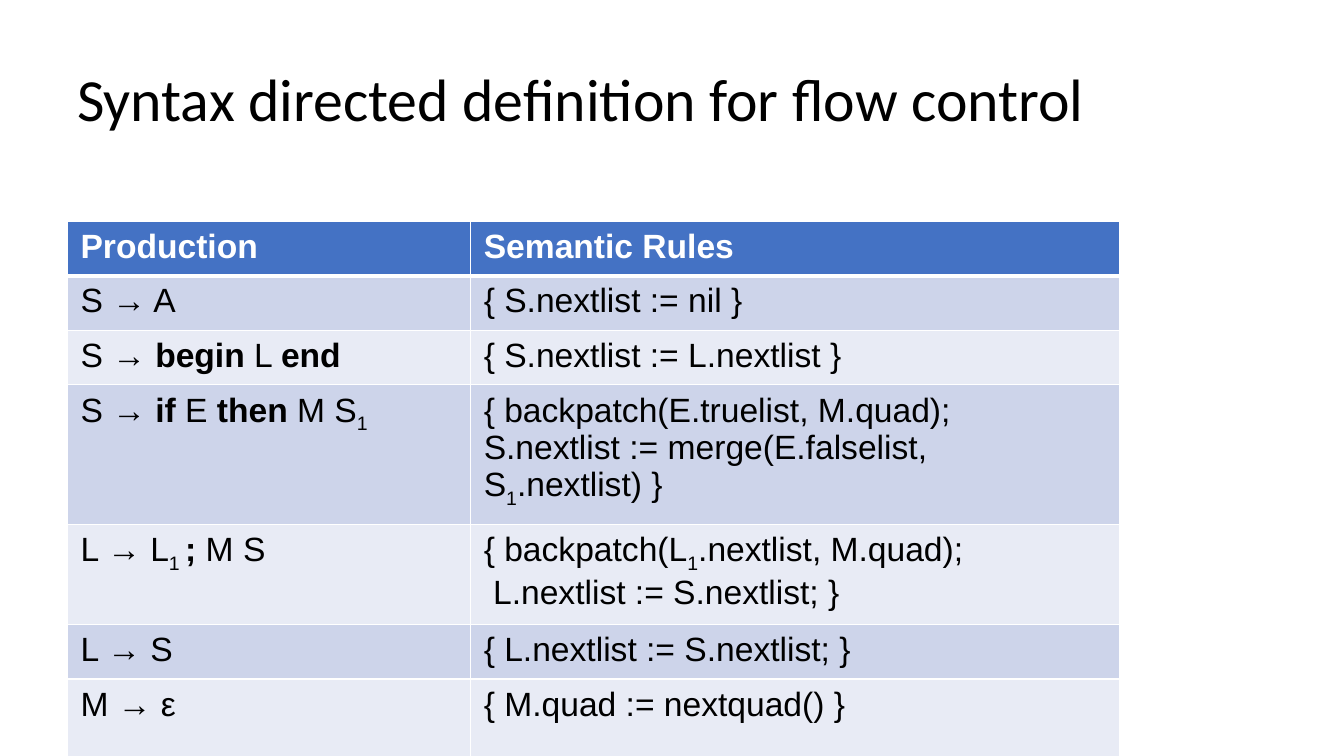
from pptx import Presentation
from pptx.dml.color import RGBColor
from pptx.enum.text import MSO_ANCHOR
from pptx.oxml import parse_xml
from pptx.oxml.ns import nsdecls
from pptx.util import Pt

MIDDLE = MSO_ANCHOR.MIDDLE
BLACK = RGBColor(0x00, 0x00, 0x00)
WHITE = RGBColor(0xFF, 0xFF, 0xFF)
BLUE = RGBColor(0x44, 0x72, 0xC4)
BANDS = [RGBColor(0xE8, 0xEB, 0xF5), RGBColor(0xCD, 0xD2, 0xE9)]
BANDS[1] = RGBColor(0xCD, 0xD4, 0xEA)

# Pieces are parted by "|"; a leading * is bold, _ is subscript, / is a new line.
RULES = [
    (39, "*Production", "*Semantic Rules"),
    (39, "S → A", "{ S.nextlist := nil }"),
    (39, "S → |*begin |L |*end", "{ S.nextlist := L.nextlist }"),
    (67, "S → |*if| E |*then| M S|_1",
     "{ backpatch(E.truelist, M.quad);|/S.nextlist := merge(E.falselist, S|_1|.nextlist) }"),
    (67, "L → L|_1 |*;| M S",
     "{ backpatch(L|_1|.nextlist, M.quad);|/ L.nextlist := S.nextlist; }"),
    (39, "L → S", "{ L.nextlist := S.nextlist; }"),
    (67, "M → ε", "{ M.quad := nextquad() }"),
]


def write(para, text, color):
    """Add the marked-up pieces of text to para as runs."""
    for piece in text.split("|"):
        mark = piece[0]
        if mark == "/":
            para.add_line_break()
        run = para.add_run()
        run.text = piece[1:] if mark in "*_/" else piece
        font = run.font
        font.name, font.size, font.bold = "Arial", Pt(24), mark == "*"
        font.color.rgb = color
        if mark == "_":
            font._element.set("baseline", "-25000")


def edge(cell, side, width):
    cell._tc.get_or_add_tcPr().append(parse_xml(
        f'<a:ln{side} {nsdecls("a")} w="{Pt(width)}"><a:solidFill>'
        f'<a:srgbClr val="{WHITE}"/></a:solidFill></a:ln{side}>'))


deck = Presentation()
deck.slide_width, deck.slide_height = Pt(960), Pt(540)
slide = deck.slides.add_slide(deck.slide_layouts[6])

title = slide.shapes.add_textbox(Pt(48), Pt(28), Pt(864), Pt(90)).text_frame
title.word_wrap = True
title.vertical_anchor = MIDDLE
para = title.paragraphs[0]
para.line_spacing = 0.9
run = para.add_run()
run.text = "Syntax directed definition for flow control"
run.font.name, run.font.size = "Calibri", Pt(42.7)
run.font.color.rgb = BLACK

high = sum(rule[0] for rule in RULES)
table = slide.shapes.add_table(
    len(RULES), 2, Pt(48), Pt(158), Pt(752), Pt(high)).table
table.columns[0].width = Pt(288)
table.columns[1].width = Pt(463.7)

for i, (height, *texts) in enumerate(RULES):
    table.rows[i].height = Pt(height)
    for j, text in enumerate(texts):
        cell = table.cell(i, j)
        cell.margin_left = cell.margin_right = Pt(9.6)
        cell.margin_top = cell.margin_bottom = Pt(4.8)
        edge(cell, "L", 1)
        edge(cell, "R", 1)
        edge(cell, "T", 3 if i == 1 else 1)
        edge(cell, "B", 3 if i == 0 else 1)
        cell.fill.solid()
        cell.fill.fore_color.rgb = BANDS[i % 2] if i else BLUE
        write(cell.text_frame.paragraphs[0], text, BLACK if i else WHITE)

deck.save("out.pptx")
